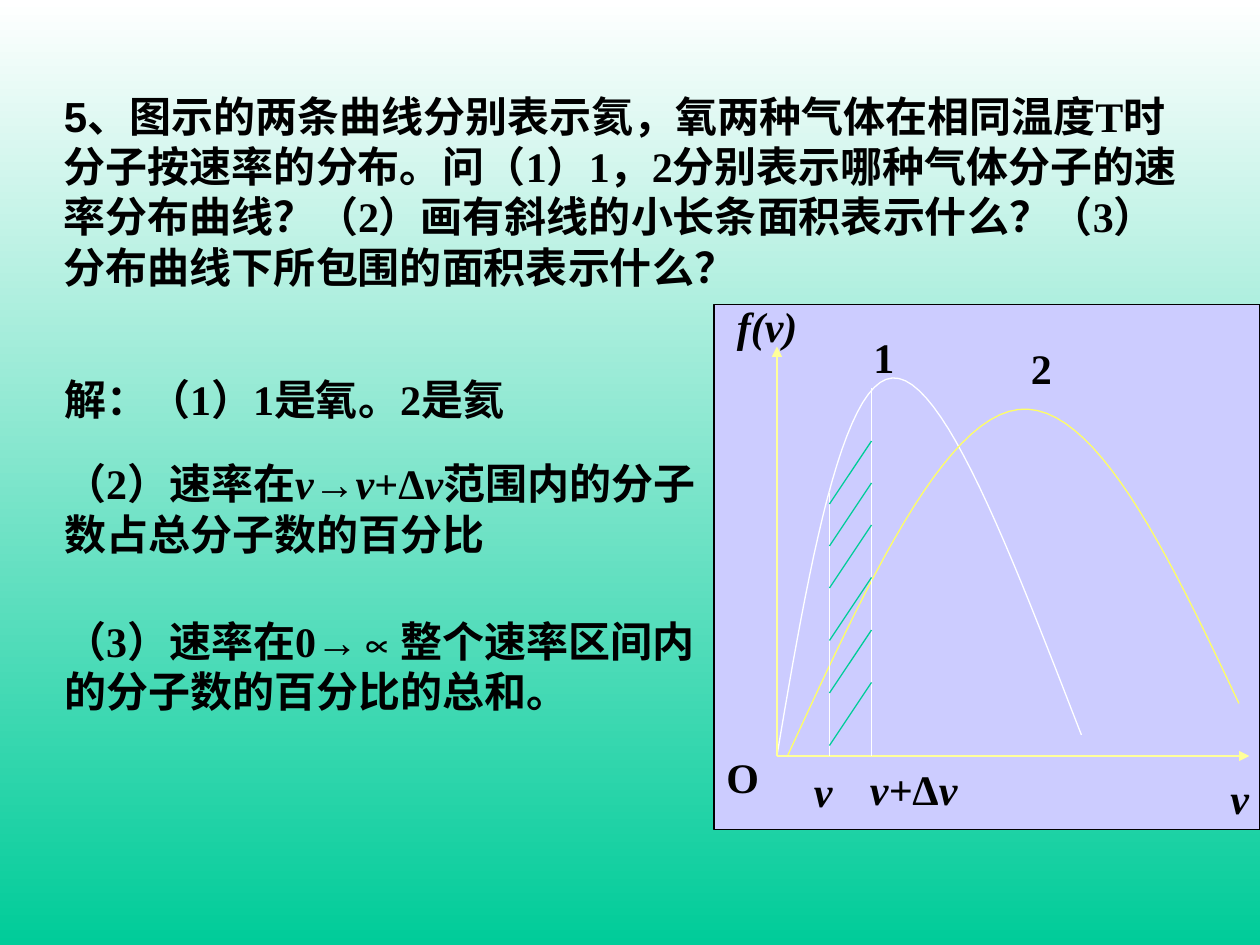
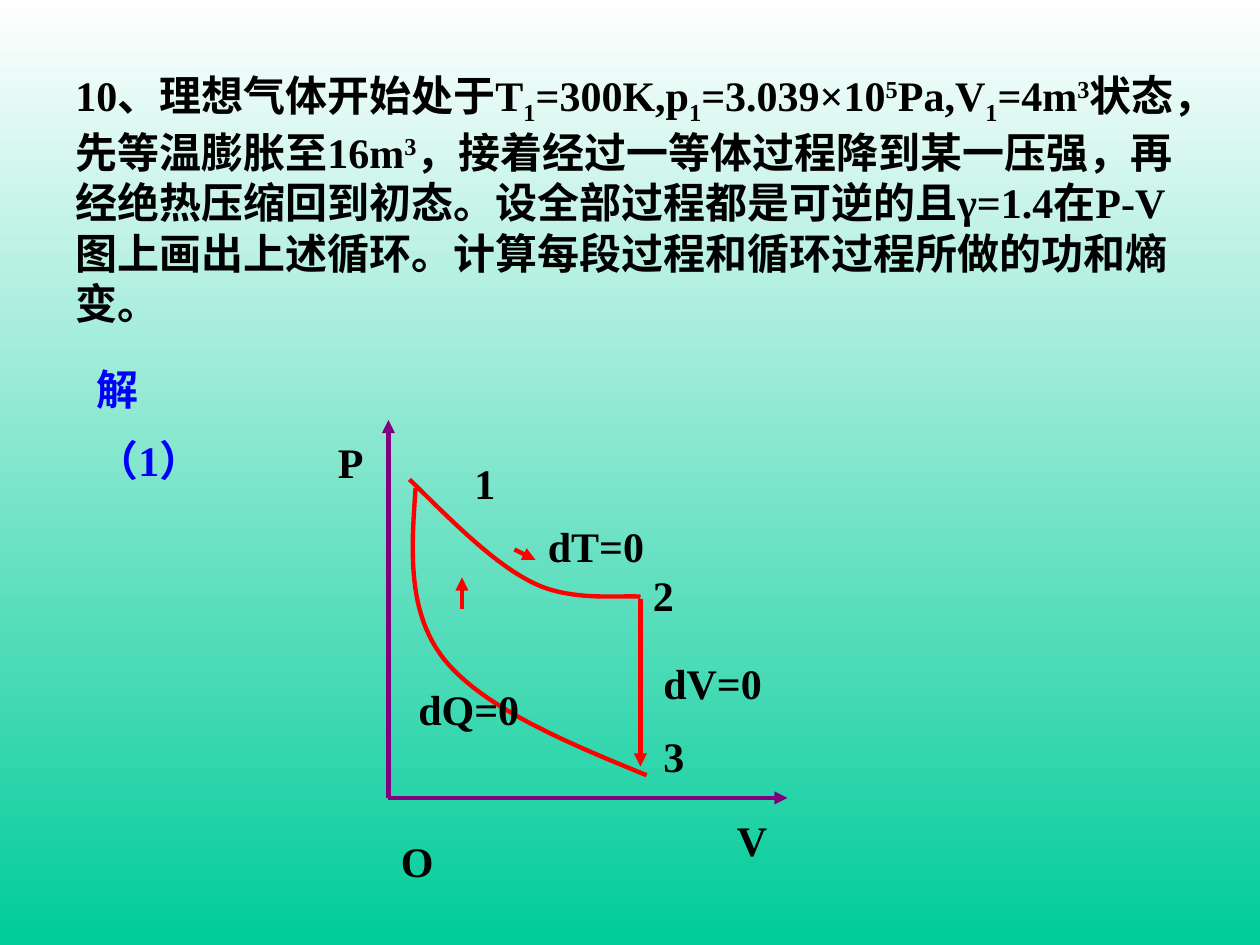
"""Build two physics exercise slides: speed distributions and a P-V cycle."""
from dataclasses import dataclass
from typing import NamedTuple

import pptx
import pptx.dml.color
import pptx.enum.shapes
import pptx.enum.text
import pptx.oxml
import pptx.util
from pptx.oxml.ns import nsdecls

Pt = pptx.util.Pt
Point = tuple[float, float]

BLACK, WHITE, BLUE, RED = "000000", "FFFFFF", "0000FF", "FF0000"
GREEN, LILAC, PURPLE = "00CC99", "CCCCFF", "800080"
PALE_YELLOW, YELLOW = "FFFF99", "FFFF66"
THIN, THICK = 0.75, 2.5
SUB, SUPER = -25, 30
CURVE_STEPS = 24


class Phrase(NamedTuple):
    """A stretch of text that differs from the text around it."""
    text: str
    italic: bool = False
    baseline: int = 0
    font: str = "Times New Roman"


class Label(NamedTuple):
    """A short text in a diagram, with its box position and width."""
    phrases: list[Phrase]
    left: float
    top: float
    width: float


@dataclass
class Segment:
    """A straight line, with or without an arrowhead at its end."""
    start: Point
    end: Point
    color: str
    weight: float = THIN
    arrow: bool = False


@dataclass
class Curve:
    """A chain of cubic Bezier pieces that share their end points."""
    points: list[Point]
    color: str
    weight: float = THIN


def rgb(color: str) -> pptx.dml.color.RGBColor:
    """Turn a hex string into a colour."""
    return pptx.dml.color.RGBColor.from_string(color)


def add_text(slide, paragraphs: list[list[Phrase]], left: float, top: float,
             width: float, height: float = 36, *, color: str = BLACK,
             size: float = 24, bold: bool = True, gap: float = 12) -> None:
    """Add a wrapped text box with one or more paragraphs."""
    frame = slide.shapes.add_textbox(Pt(left), Pt(top), Pt(width), Pt(height)).text_frame
    frame.word_wrap = True
    frame.auto_size = pptx.enum.text.MSO_AUTO_SIZE.SHAPE_TO_FIT_TEXT
    for index, phrases in enumerate(paragraphs):
        paragraph = frame.add_paragraph() if index else frame.paragraphs[0]
        if index:
            paragraph.space_before = Pt(gap)
        for phrase in phrases:
            run = paragraph.add_run()
            run.text = phrase.text
            run.font.name, run.font.size = phrase.font, Pt(size)
            run.font.bold, run.font.italic = bold, phrase.italic
            run.font.color.rgb = rgb(color)
            if phrase.baseline:
                run._r.get_or_add_rPr().set("baseline", str(phrase.baseline * 1000))


def add_segment(slide, segment: Segment) -> None:
    """Draw a straight line as a connector."""
    connector = slide.shapes.add_connector(
        pptx.enum.shapes.MSO_CONNECTOR.STRAIGHT,
        *(Pt(value) for value in segment.start + segment.end))
    connector.line.color.rgb = rgb(segment.color)
    connector.line.width = Pt(segment.weight)
    if segment.arrow:
        connector.get_or_add_ln().append(
            pptx.oxml.parse_xml(f'<a:tailEnd {nsdecls("a")} type="triangle"/>'))
    connector._element.spPr.append(pptx.oxml.parse_xml(f'<a:effectLst {nsdecls("a")}/>'))


def bezier(a: Point, b: Point, c: Point, d: Point, t: float) -> Point:
    """Give the point of a cubic Bezier piece at t."""
    weights = ((1 - t) ** 3, 3 * t * (1 - t) ** 2, 3 * t * t * (1 - t), t ** 3)
    x, y = (sum(w * p[axis] for w, p in zip(weights, (a, b, c, d))) for axis in (0, 1))
    return x, y


def add_curve(slide, curve: Curve) -> None:
    """Draw a curve as an open freeform."""
    start = curve.points[0]
    builder = slide.shapes.build_freeform(Pt(start[0]), Pt(start[1]))
    builder.add_line_segments(
        [tuple(Pt(value) for value in bezier(*curve.points[first:first + 4], step / CURVE_STEPS))
         for first in range(0, len(curve.points) - 1, 3)
         for step in range(1, CURVE_STEPS + 1)],
        close=False)
    shape = builder.convert_to_shape()
    shape.shadow.inherit = False
    shape.fill.background()
    shape.line.color.rgb = rgb(curve.color)
    shape.line.width = Pt(curve.weight)


def add_diagram(slide, curves: list[Curve], segments: list[Segment],
                labels: list[Label]) -> None:
    """Draw the curves, lines and labels of one diagram."""
    for curve in curves:
        add_curve(slide, curve)
    for segment in segments:
        add_segment(slide, segment)
    for label in labels:
        add_text(slide, [label.phrases], label.left, label.top, label.width)


def set_background(master) -> None:
    """Give all slides the white to green gradient."""
    fill = master.background.fill
    fill.gradient()
    fill.gradient_angle = 270
    for stop, color in zip(fill.gradient_stops, (WHITE, GREEN)):
        stop.color.rgb = rgb(color)


def build_speed_distribution(slide) -> None:
    """Fill the slide on molecular speed distributions."""
    panel = slide.shapes.add_shape(
        pptx.enum.shapes.MSO_SHAPE.RECTANGLE, Pt(408), Pt(174), Pt(312), Pt(300))
    panel.shadow.inherit = False
    panel.fill.solid()
    panel.fill.fore_color.rgb = rgb(LILAC)
    panel.line.color.rgb = rgb(BLACK)
    panel.line.width = Pt(THIN)

    speed = Phrase("v", italic=True)
    question = [
        Phrase("5、", font="Arial"),
        Phrase("图示的两条曲线分别表示氦，氧两种气体在相同温度T时分子按速率的分布。"
               "问（1）1，2分别表示哪种气体分子的速率分布曲线？"
               "（2）画有斜线的小长条面积表示什么？（3）分布曲线下所包围的面积表示什么？")]
    strip_answer = [Phrase("（2）速率在"), speed, Phrase("→"), speed, Phrase("+Δ"), speed,
                    Phrase("范围内的分子数占总分子数的百分比")]
    area_answer = [Phrase("（3）速率在0→∝整个速率区间内的分子数的百分比的总和。")]
    add_text(slide, [question], 29.5, 48, 654, 124)
    add_text(slide, [[Phrase("解：（1）1是氧。2是氦")]], 29.5, 210, 306)
    add_text(slide, [strip_answer], 29.5, 258, 384, 65.5)
    add_text(slide, [area_answer], 29.5, 348, 384, 65.5)

    origin = (444, 432)
    strip_left, strip_right, hatch_drop = 474, 498, 36
    axes = [Segment(origin, end, PALE_YELLOW, arrow=True) for end in ((714, 432), (444, 198))]
    strip_sides = [Segment((x, top), (x, origin[1]), WHITE)
                   for x, top in ((strip_left, 282), (strip_right, 222))]
    hatching = [Segment((strip_right, top), (strip_left, top + hatch_drop), GREEN)
                for top in (252, 276, 300, 330, 360, 390)]
    oxygen = Curve([origin, (462, 325), (481, 218), (510, 216),
                    (539, 214), (578, 317), (618, 420)], WHITE)
    helium = Curve([(450, 432), (494.5, 335.5), (539, 239), (582, 234),
                    (625, 229), (667, 315), (708, 402)], YELLOW)
    labels = [
        Label([Phrase("2")], 582, 192, 24),
        Label([Phrase("f(v)", italic=True)], 414, 168, 60),
        Label([speed], 696, 438, 18),
        Label([speed], 458, 434, 34.5),
        Label([Phrase("v+", italic=True), Phrase("Δ"), speed], 490, 433, 84),
        Label([Phrase("O")], 408, 426, 60),
        Label([Phrase("1")], 492, 186, 24),
    ]
    add_diagram(slide, [oxygen, helium], axes + strip_sides + hatching, labels)


def build_gas_cycle(slide) -> None:
    """Fill the slide on the ideal gas cycle."""
    question = [
        Phrase("10、理想气体开始处于T"), Phrase("1", baseline=SUB),
        Phrase("=300K,p"), Phrase("1", baseline=SUB),
        Phrase("=3.039×10"), Phrase("5", baseline=SUPER),
        Phrase("Pa,V"), Phrase("1", baseline=SUB),
        Phrase("=4m"), Phrase("3", baseline=SUPER),
        Phrase("状态，先等温膨胀至16m"), Phrase("3", baseline=SUPER),
        Phrase("，接着经过一等体过程降到某一压强，再经绝热压缩回到初态。"
               "设全部过程都是可逆的且γ=1.4在P-V图上画出上述循环。"
               "计算每段过程和循环过程所做的功和熵变。")]
    add_text(slide, [question], 36, 36, 654, 152.5)
    add_text(slide, [[Phrase("解")], [Phrase("（1）")]], 48, 204, 119.5, 80, color=BLUE)

    origin = (222, 456)
    axes = [Segment(origin, end, PURPLE, THICK, arrow=True) for end in ((222, 240), (450, 456))]
    directions = [Segment(start, end, RED, THICK, arrow=True)
                  for start, end in (((366, 342), (366, 438)),
                                     ((264, 348), (264, 330)),
                                     ((294, 314), (306, 320)))]
    isotherm = Curve([(234, 274), (258.5, 298), (282, 322), (304.5, 333),
                      (326, 344), (355.5, 340), (366, 341)], RED, THICK)
    adiabat = Curve([(237.5, 279), (235, 314.5), (232.5, 350), (254, 377),
                     (276.5, 404.5), (323, 424), (369.5, 443)], RED, THICK)
    labels = [Label([Phrase(text)], left, top, width) for text, left, top, width in (
        ("V", 414, 462, 60), ("O", 222, 474, 60), ("P", 186, 246, 60),
        ("3", 372, 414, 60), ("2", 366, 322, 60), ("1", 264, 258, 60),
        ("dT=0", 306, 294, 108), ("dQ=0", 232, 387, 108), ("dV=0", 372, 372, 108))]
    add_diagram(slide, [isotherm, adiabat], axes + directions, labels)


def main() -> None:
    """Build and save the presentation."""
    presentation = pptx.Presentation()
    presentation.slide_width, presentation.slide_height = Pt(720), Pt(540)
    set_background(presentation.slide_master)
    blank = presentation.slide_layouts[6]
    for build in (build_speed_distribution, build_gas_cycle):
        build(presentation.slides.add_slide(blank))
    presentation.save("out.pptx")


if __name__ == "__main__":
    main()
